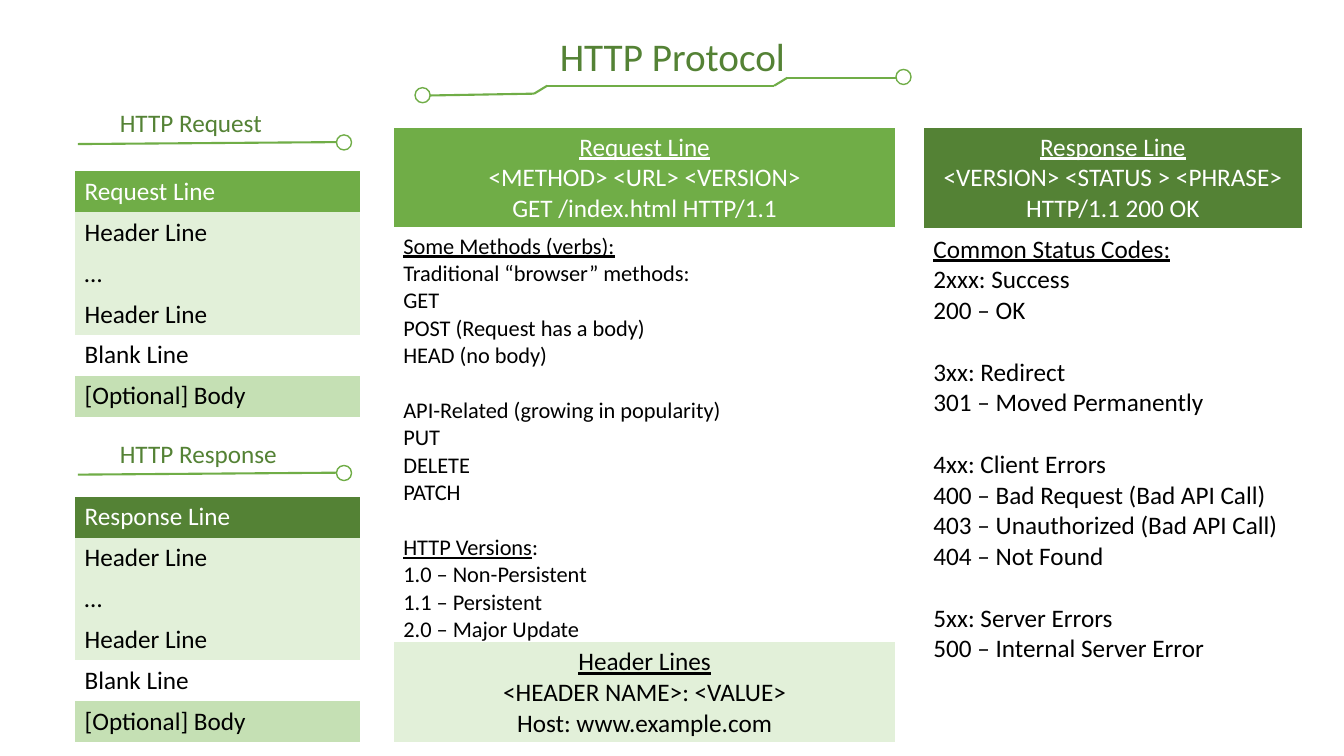
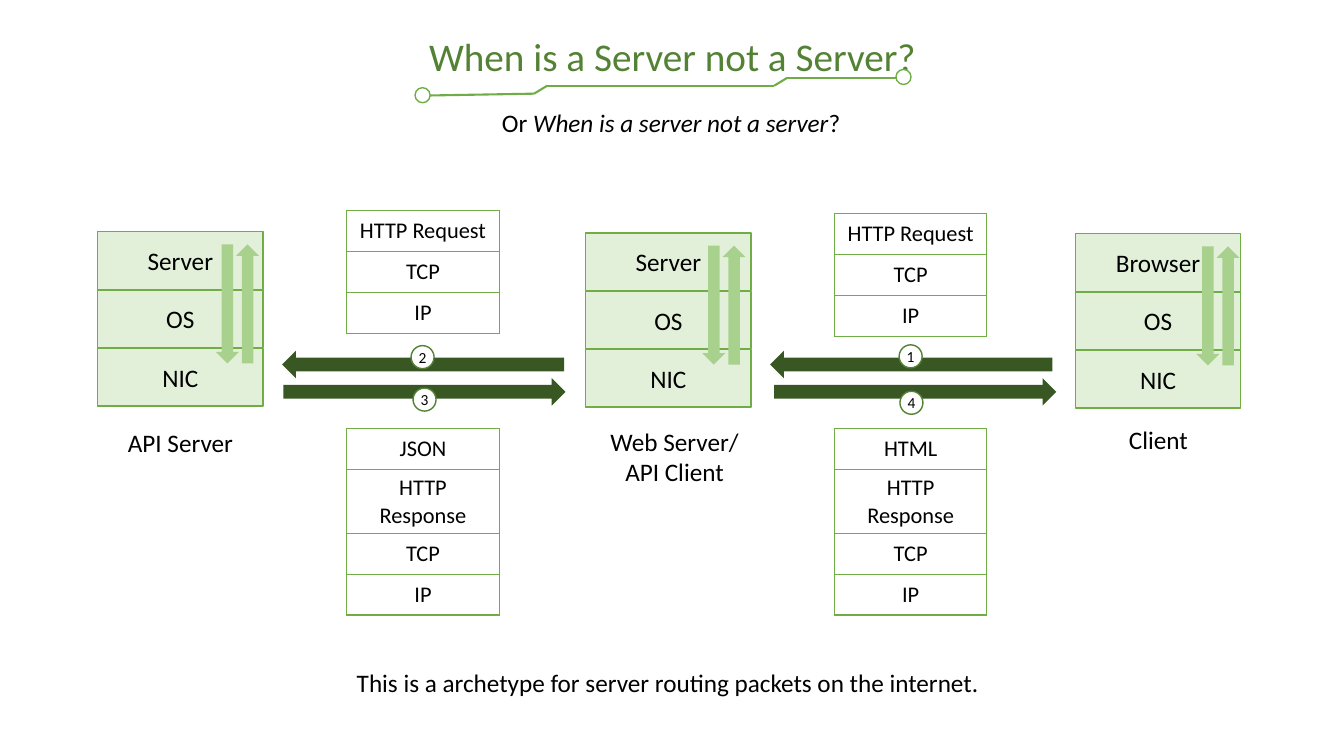
import dataclasses
import itertools

import pptx
import pptx.dml.color
import pptx.enum.shapes
import pptx.enum.text
import pptx.oxml
import pptx.oxml.ns
import pptx.oxml.xmlchemy
import pptx.util

Cm = pptx.util.Cm
Pt = pptx.util.Pt
qn = pptx.oxml.ns.qn
PRESET = pptx.enum.shapes.MSO_SHAPE
LEFT = pptx.enum.text.PP_ALIGN.LEFT
CENTER = pptx.enum.text.PP_ALIGN.CENTER
TOP = pptx.enum.text.MSO_ANCHOR.TOP
MIDDLE = pptx.enum.text.MSO_ANCHOR.MIDDLE


@dataclasses.dataclass(frozen=True)
class Theme:
    font: str = "Calibri"
    white: str = "FFFFFF"
    black: str = "000000"
    green: str = "70AD47"
    deep: str = "548235"
    forest: str = "385723"
    soft: str = "A9D18E"
    mint: str = "C5E0B4"
    pale: str = "E2F0D9"
    title: int = 28
    text: int = 18
    small: int = 16
    badge: int = 11
    line_height: float = 1.22


theme = Theme()
rgb = pptx.dml.color.RGBColor.from_string


def write(frame, groups, size, colour, align):
    paragraph = None
    for number, group in enumerate(groups):
        for position, line in enumerate(group):
            paragraph = frame.add_paragraph() if paragraph else frame.paragraphs[0]
            paragraph.alignment = align
            if number and position == 0:
                paragraph.space_before = Pt(round(size * theme.line_height, 1))
            for words, mark in [(line, "")] if isinstance(line, str) else line:
                run = paragraph.add_run()
                run.text = words
                run.font.name = theme.font
                run.font.size = Pt(size)
                run.font.color.rgb = rgb(colour)
                run.font.underline = mark == "u"
                run.font.italic = mark == "i"


def block(slide, preset, at, fill, line=None, words=None, size=theme.text):
    shape = slide.shapes.add_shape(preset, *map(Cm, at))
    shape.shadow.inherit = False
    shape.fill.solid()
    shape.fill.fore_color.rgb = rgb(fill)
    if line:
        shape.line.color.rgb = rgb(line)
        shape.line.width = Pt(1)
    else:
        shape.line.fill.background()
    if words:
        frame = shape.text_frame
        frame.margin_left = frame.margin_right = 0
        frame.margin_top = frame.margin_bottom = 0
        frame.vertical_anchor = MIDDLE
        write(frame, [[words]], size, theme.black, CENTER)


deck = pptx.Presentation()
deck.slide_width = Cm(33.87)
deck.slide_height = Cm(19.05)

title_trace = [(10.59, 2.41), (13.46, 2.36), (13.79, 2.16),
               (19.51, 2.16), (19.84, 1.96), (22.71, 1.96)]
traces = []
nodes = []
for heading in ["HTTP Protocol", "When is a Server not a Server?"]:
    slide = deck.slides.add_slide(deck.slide_layouts[5])
    title = slide.shapes.title
    title.left, title.top, title.width, title.height = map(Cm, (9.45, 0.69, 14.99, 1.45))
    title.text_frame.vertical_anchor = TOP
    title.text_frame.auto_size = pptx.enum.text.MSO_AUTO_SIZE.NONE
    write(title.text_frame, [[heading]], theme.title, theme.deep, CENTER)
    traces += [(slide, start, end) for start, end in itertools.pairwise(title_trace)]
    nodes += [(slide, 10.46, 2.21), (slide, 22.58, 1.75)]

protocol, routing = deck.slides

labels = [
    (routing, (12.32, 2.59, 9.19, 1.02),
     [[("Or ", ""), ("When is a server not a server", "i"), ("?", "")]], theme.black, CENTER),
    (routing, (8.64, 16.69, 16.38, 1.02),
     ["This is a archetype for server routing packets on the internet."], theme.black, CENTER),
]
tables = []
message_rows = ["Header Line", "…", "Header Line", "Blank Line", "[Optional] Body"]
message_fills = [theme.pale, theme.pale, theme.pale, None, theme.mint]
for kind, width, label_top, table_top, fill in [
    ("Request", 4.14, 2.59, 4.32, theme.green),
    ("Response", 4.52, 10.92, 12.52, theme.deep),
]:
    traces.append((protocol, (1.96, label_top + 1.04), (8.61, label_top + 0.99)))
    nodes.append((protocol, 8.48, label_top + 0.81))
    labels.append((protocol, (2.77, label_top, width, 1.02), [f"HTTP {kind}"], theme.deep, LEFT))
    first = ([[f"{kind} Line"]], theme.text, theme.white, LEFT, fill)
    rest = [([[words]], theme.text, theme.black, LEFT, shade)
            for words, shade in zip(message_rows, message_fills)]
    tables.append((protocol, (1.88, table_top, 7.19, 6.17), [1.03] * 6, [first] + rest, None, TOP))

request_line = [[[("Request Line", "u")], "<METHOD> <URL> <VERSION>", "GET /index.html HTTP/1.1"]]
methods = [
    [[("Some Methods (verbs):", "u")], "Traditional “browser” methods:",
     "GET", "POST (Request has a body)", "HEAD (no body)"],
    ["API-Related (growing in popularity)", "PUT", "DELETE", "PATCH"],
    [[("HTTP Versions", "u"), (":", "")],
     "1.0 – Non-Persistent", "1.1 – Persistent", "2.0 – Major Update"],
]
header_lines = [[[("Header Lines", "u")], "<HEADER NAME>: <VALUE>", "Host: www.example.com"]]
response_line = [[[("Response Line", "u")], "<VERSION> <STATUS > <PHRASE>", "HTTP/1.1 200 OK"]]
status_codes = [
    [[("Common Status Codes:", "u")], "2xxx: Success", "200 – OK"],
    ["3xx: Redirect", "301 – Moved Permanently"],
    ["4xx: Client Errors", "400 – Bad Request (Bad API Call)",
     "403 – Unauthorized (Bad API Call)", "404 – Not Found"],
    ["5xx: Server Errors", "500 – Internal Server Error"],
]
tables += [
    (protocol, (9.91, 3.2, 12.67, 15.49), [1.85, 8.31, 2.44], [
        (request_line, theme.text, theme.white, CENTER, theme.green),
        (methods, theme.small, theme.black, LEFT, theme.white),
        (header_lines, theme.text, theme.black, CENTER, theme.pale),
    ], theme.white, TOP),
    (protocol, (23.27, 3.2, 9.55, 13.49), [2.57, 5.05], [
        (response_line, theme.text, theme.white, CENTER, theme.deep),
        (status_codes, theme.text, theme.black, LEFT, theme.white),
    ], theme.white, TOP),
]

for left, top, layers in [
    (21.03, 5.38, ["HTTP Request", "TCP", "IP"]),
    (8.74, 5.31, ["HTTP Request", "TCP", "IP"]),
    (8.74, 10.8, ["JSON", "HTTP Response", "TCP", "IP"]),
    (21.03, 10.8, ["HTML", "HTTP Response", "TCP", "IP"]),
]:
    height = 3.1 if len(layers) == 3 else 4.7
    cells = [([[layer]], theme.small, theme.black, CENTER, None) for layer in layers]
    tables.append((routing, (left, top, 3.84, height), [1.03] * len(layers),
                   cells, theme.green, MIDDLE))

for slide, start, end in traces:
    trace = slide.shapes.add_connector(
        pptx.enum.shapes.MSO_CONNECTOR.STRAIGHT, *map(Cm, start + end))
    trace.line.color.rgb = rgb(theme.green)
    trace.line.width = Pt(1.5)
    trace.element.spPr.append(pptx.oxml.xmlchemy.OxmlElement("a:effectLst"))

for slide, left, top in nodes:
    block(slide, PRESET.OVAL, (left, top, 0.38, 0.38), theme.white, theme.green)

for left, top, program, arrow_left, caption, caption_at in [
    (2.46, 5.84, "Server", 5.44, ["API Server"], (2.95, 10.64, 3.2, 1.02)),
    (14.76, 5.87, "Server", 17.7, ["Web Server/", "API Client"], (15.11, 10.62, 3.78, 1.8)),
    (27.1, 5.89, "Browser", 30.15, ["Client"], (28.19, 10.57, 2.01, 1.02)),
]:
    for level, layer in enumerate([program, "OS", "NIC"]):
        block(routing, PRESET.RECTANGLE, (left, top + level * 1.47, 4.17, 1.45),
              theme.pale, theme.green, layer)
    for preset, shift in [(PRESET.DOWN_ARROW, 0), (PRESET.UP_ARROW, 0.51)]:
        block(routing, preset, (arrow_left + shift, top + 0.32, 0.58, 3), theme.soft)
    labels.append((routing, caption_at, caption, theme.black, CENTER))

for preset, left, top in [
    (PRESET.LEFT_ARROW, 7.11, 8.84), (PRESET.RIGHT_ARROW, 7.14, 9.53),
    (PRESET.LEFT_ARROW, 19.41, 8.84), (PRESET.RIGHT_ARROW, 19.51, 9.53),
]:
    block(routing, preset, (left, top, 7.11, 0.69), theme.forest)

for step, left, top in [("1", 22.66, 8.69), ("2", 10.36, 8.71),
                        ("3", 10.41, 9.78), ("4", 22.68, 9.86)]:
    block(routing, PRESET.OVAL, (left, top, 0.58, 0.58),
          theme.white, theme.deep, step, theme.badge)

for slide, at, lines, colour, align in labels:
    frame = slide.shapes.add_textbox(*map(Cm, at)).text_frame
    frame.word_wrap = False
    write(frame, [lines], theme.text, colour, align)

for slide, at, heights, cells, border, anchor in tables:
    holder = slide.shapes.add_table(len(cells), 1, *map(Cm, at))
    table = holder.table
    table.first_row = table.horz_banding = False
    style = next(holder.element.iter(qn("a:tableStyleId")))
    style.text = "{2D5ABB26-0587-4C30-8999-92F81FD0307C}"
    for row, height, (groups, size, colour, align, fill) in zip(table.rows, heights, cells):
        row.height = Cm(height)
        cell = row.cells[0]
        cell.vertical_anchor = anchor
        write(cell.text_frame, groups, size, colour, align)
        if fill:
            cell.fill.solid()
            cell.fill.fore_color.rgb = rgb(fill)
        else:
            cell.fill.background()
    if border:
        for properties in list(holder.element.iter(qn("a:tcPr"))):
            for order, side in enumerate("LRTB"):
                properties.insert(order, pptx.oxml.parse_xml(
                    f'<a:ln{side} xmlns:a="http://schemas.openxmlformats.org/drawingml/2006/main" '
                    f'w="12700"><a:solidFill><a:srgbClr val="{border}"/></a:solidFill></a:ln{side}>'))
    holder.height = Cm(at[3])

deck.save("out.pptx")
